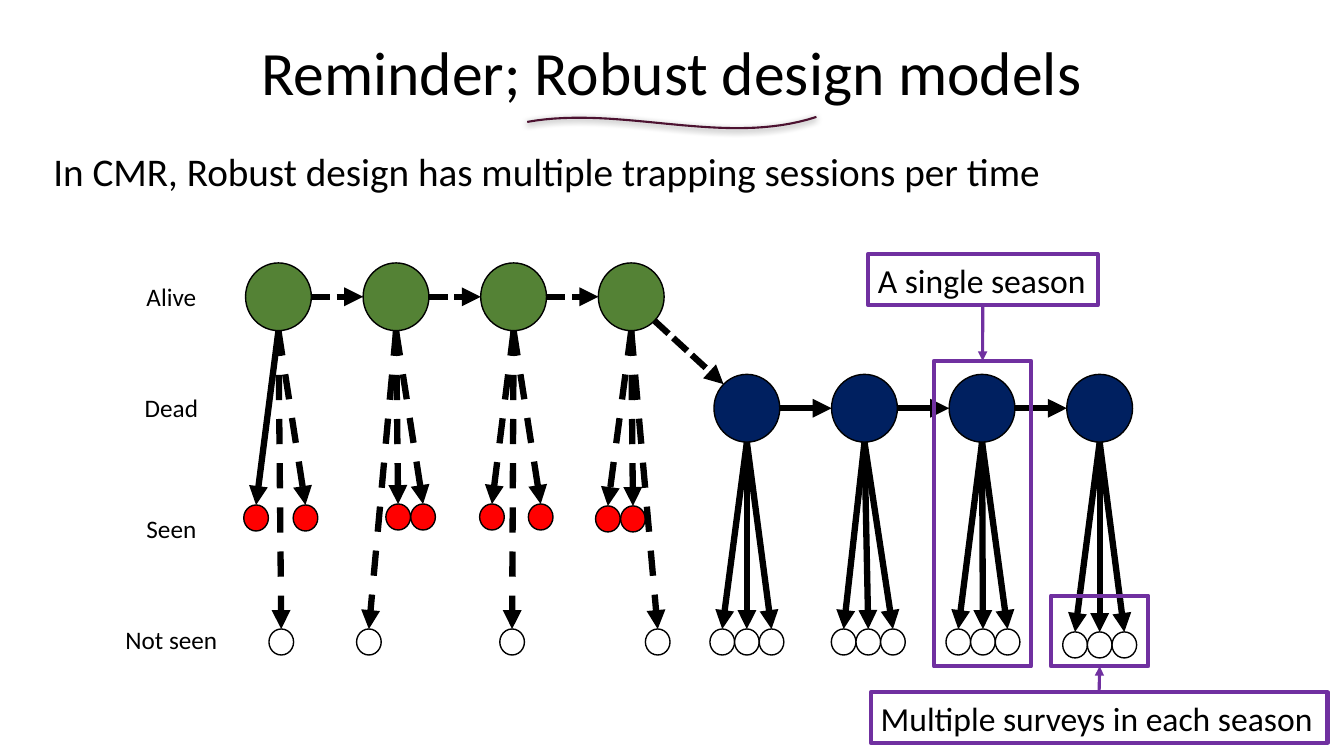
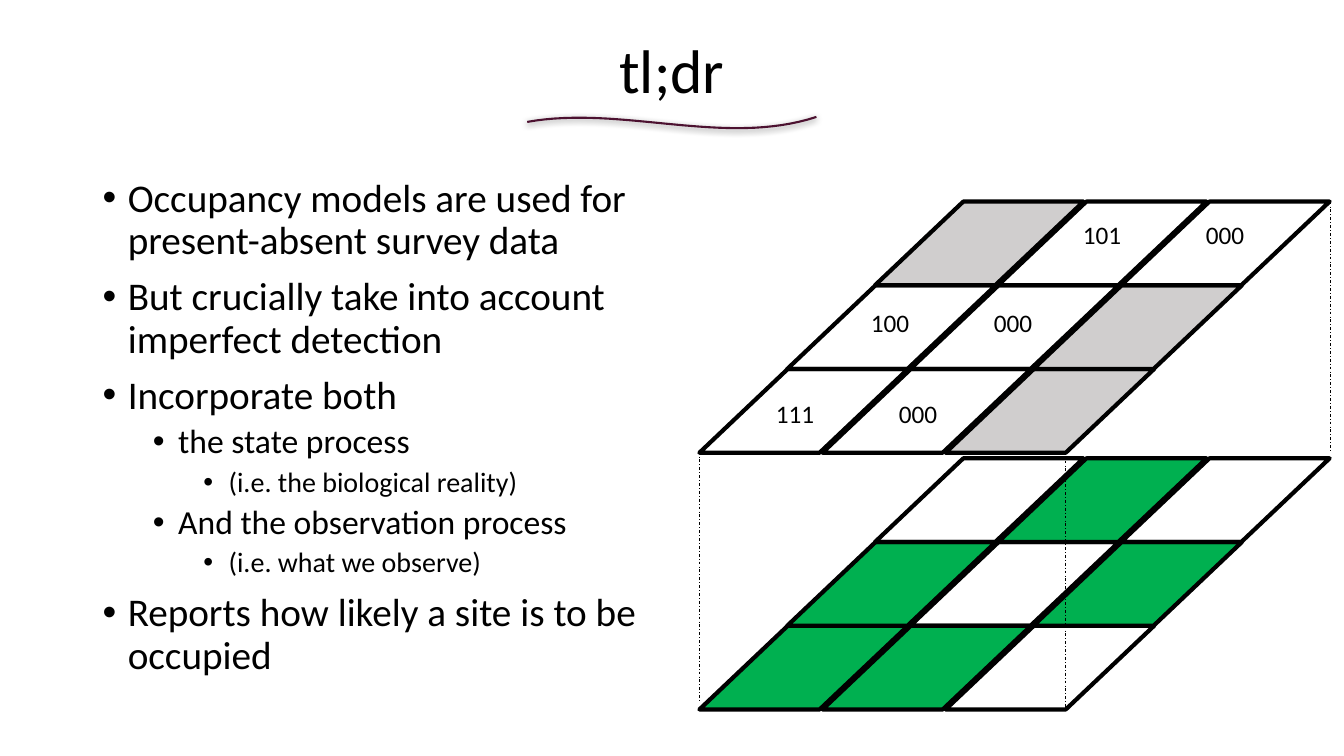
"""Builds two slides on robust design and occupancy models."""
from lxml import etree
from pptx import Presentation
from pptx.dml.color import RGBColor
from pptx.enum.dml import MSO_LINE
from pptx.enum.shapes import MSO_CONNECTOR, MSO_SHAPE
from pptx.enum.text import MSO_ANCHOR, PP_ALIGN
from pptx.oxml.ns import qn
from pptx.util import Pt

STRAIGHT = MSO_CONNECTOR.STRAIGHT
OVAL, RECTANGLE, SLANTED = MSO_SHAPE.OVAL, MSO_SHAPE.RECTANGLE, MSO_SHAPE.PARALLELOGRAM
DASH, SHORT_DASH, DASH_DOT = MSO_LINE.DASH, MSO_LINE.SQUARE_DOT, MSO_LINE.DASH_DOT
TOP, MIDDLE = MSO_ANCHOR.TOP, MSO_ANCHOR.MIDDLE
LEFT, CENTER = PP_ALIGN.LEFT, PP_ALIGN.CENTER

FONT = "Calibri"
BLACK, WHITE, RED, PURPLE = "000000", "FFFFFF", "FF0000", "7030A0"
OLIVE, NAVY, PLUM, GREEN, GREY = "548235", "002060", "4C1130", "00B050", "D0CECE"

SLIDE_WIDTH, SLIDE_HEIGHT = 960, 540
WAVE = [(376.6, 87.1), (444.2, 74.9), (517.7, 105.1), (583.2, 83.5)]
WAVE_STEPS = 32

ROBUST_TITLE = "Reminder; Robust design models"
ROBUST_INTRO = [("In CMR, Robust design has multiple trapping sessions per time", None)]
ROW_LABELS = [("Alive", 211.7), ("Dead", 290.9), ("Seen", 377.3), ("Not seen", 456.5)]
STATES = {
    "alive": {"first": 198.9, "middle": 212, "fill": OLIVE, "step_dash": SHORT_DASH},
    "dead": {"first": 533.5, "middle": 291.6, "fill": NAVY, "step_dash": None},
}
SEASON_STEP, STATE_WIDTH, STATE_HEIGHT = 84, 47, 48.4
SURVEY_WIDTH, SURVEY_HEIGHT = 17.6, 18.6
DIAGONAL = 0.71
SEEN, MISSED = RED, WHITE
SEASONS = [
    ("alive", [(-16, 360.7, SEEN, None), (2, 449.3, MISSED, DASH), (19.3, 360.7, SEEN, DASH)]),
    ("alive", [(-19.4, 449.3, MISSED, DASH), (1.5, 360, SEEN, DASH), (19.3, 360, SEEN, DASH)]),
    ("alive", [(-15.5, 360, SEEN, DASH), (-1.1, 449.3, MISSED, DASH), (19.3, 360, SEEN, DASH)]),
    ("alive", [(-16.7, 361.4, SEEN, DASH), (1.2, 361.4, SEEN, DASH), (18.9, 449.3, MISSED, DASH)]),
] + [
    ("dead", [(middle + side * SURVEY_WIDTH, top, MISSED, None) for side in (-1, 0, 1)])
    for middle, top in [(0, 449.3), (2.7, 449.3), (0.6, 449.3), (0, 451.4)]
]
CALLOUTS = [
    {"text": "A single season", "box": (619.9, 181.6, 164.2, 36.2),
     "frame": (667.2, 257.8, 69.4, 218.2), "sides": (2, 0)},
    {"text": "Multiple surveys in each season", "box": (622, 494.6, 326.2, 36),
     "frame": (750.8, 425.5, 69.4, 50.4), "sides": (0, 2)},
]

SUMMARY_TITLE = "tl;dr"
SUMMARY = [
    ("Occupancy models are used for present-absent survey data", 0),
    ("But crucially take into account imperfect detection", 0),
    ("Incorporate both", 0),
    ("the state process", 1),
    ("(i.e. the biological reality)", 2),
    ("And the observation process", 1),
    ("(i.e. what we observe)", 2),
    ("Reports how likely a site is to be occupied", 0),
]
LEVEL_SIZES, LEVEL_GAPS = (28, 24, 20), (10, 5, 5)

GRIDS = [
    (327.4, [
        [(None, ""), (GREEN, ""), (None, "")],
        [(GREEN, ""), (None, ""), (GREEN, "")],
        [(GREEN, ""), (GREEN, ""), (None, "")],
    ]),
    (144, [
        [(GREY, ""), (None, "101"), (None, "000")],
        [(None, "100"), (None, "000"), (GREY, "")],
        [(None, "111"), (None, "000"), (GREY, "")],
    ]),
]
GRID_LEFT, CELL_WIDTH, CELL_HEIGHT = 625, 149, 59.8
COLUMN_STEP, ROW_SHIFT, SLANT = 87.9, 62.7, 1.055
CODE_INSETS = [(53.5, 9.4), (52.6, 12.2), (47.5, 17.4)]
DROP_LINES = [(950.4, 144, 322.6), (761, 329, 508.3), (499.7, 322.6, 501.8)]


def color(value):
    """Turn a hex string into a colour."""
    return RGBColor.from_string(value)


def write(frame, text, size, align=LEFT):
    """Write one paragraph into a text frame."""
    paragraph = frame.paragraphs[0]
    paragraph.alignment = align
    add_run(paragraph, text, size)
    return paragraph


def add_run(paragraph, text, size):
    """Add one styled run."""
    run = paragraph.add_run()
    run.text = text
    run.font.name = FONT
    run.font.size = Pt(size)
    run.font.color.rgb = color(BLACK)


def add_frame(slide, left, top, width, height, wrap=True, anchor=TOP):
    """Add a text box and return its text frame."""
    box = slide.shapes.add_textbox(Pt(left), Pt(top), Pt(width), Pt(height))
    box.text_frame.word_wrap = wrap
    box.text_frame.vertical_anchor = anchor
    return box.text_frame


def add_body(slide, box, items):
    """Add body text, with bullets where a level is given."""
    frame = add_frame(slide, *box)
    for index, (text, level) in enumerate(items):
        paragraph = frame.add_paragraph() if index else frame.paragraphs[0]
        depth = level or 0
        if level is not None:
            properties = paragraph._p.get_or_add_pPr()
            properties.set("marL", str(Pt(18 + 36 * depth)))
            properties.set("indent", str(-Pt(18)))
            etree.SubElement(properties, qn("a:buFont")).set("typeface", "Arial")
            etree.SubElement(properties, qn("a:buChar")).set("char", "•")
            paragraph.level = depth
        paragraph.line_spacing = 0.9
        paragraph.space_before = Pt(LEVEL_GAPS[depth] if index else 0)
        add_run(paragraph, text, LEVEL_SIZES[depth])


def add_outline(slide, kind, box, fill, line, weight):
    """Add a preset shape, hollow when no fill is given."""
    shape = slide.shapes.add_shape(kind, *map(Pt, box))
    shape.shadow.inherit = False
    if fill:
        shape.fill.solid()
        shape.fill.fore_color.rgb = color(fill)
    else:
        shape.fill.background()
    shape.line.color.rgb = color(line)
    shape.line.width = Pt(weight)
    return shape


def add_line(slide, start, end, weight, line=BLACK, dash=None, arrow=True):
    """Add a straight line, with an arrowhead at its end if wanted."""
    connector = slide.shapes.add_connector(STRAIGHT, *map(Pt, (*start, *end)))
    connector.line.color.rgb = color(line)
    connector.line.width = Pt(weight)
    if dash:
        connector.line.dash_style = dash
    properties = connector.element.spPr
    if arrow:
        etree.SubElement(properties.find(qn("a:ln")), qn("a:tailEnd")).set("type", "triangle")
    etree.SubElement(properties, qn("a:effectLst"))
    return connector


def wave_point(position):
    """Return the point of the title wave at a position from 0 to 1."""
    rest = 1 - position
    weights = (rest ** 3, 3 * rest ** 2 * position, 3 * rest * position ** 2, position ** 3)
    return tuple(Pt(sum(w * point[axis] for w, point in zip(weights, WAVE))) for axis in (0, 1))


def add_wave(slide):
    """Draw the shadowed wave under the title."""
    points = [wave_point(step / WAVE_STEPS) for step in range(WAVE_STEPS + 1)]
    builder = slide.shapes.build_freeform(*points[0])
    builder.add_line_segments(points[1:], close=False)
    wave = builder.convert_to_shape()
    wave.fill.background()
    wave.line.color.rgb = color(PLUM)
    wave.line.width = Pt(1.5)
    wave.shadow.inherit = False
    shadow = etree.SubElement(wave.element.spPr.find(qn("a:effectLst")), qn("a:outerShdw"))
    for name, value in (("blurRad", Pt(4.5)), ("dist", Pt(1.5)), ("dir", 5400000)):
        shadow.set(name, str(value))
    tint = etree.SubElement(shadow, qn("a:srgbClr"))
    tint.set("val", BLACK)
    etree.SubElement(tint, qn("a:alpha")).set("val", "50000")


def start_slide(presentation, title, top):
    """Add a blank slide with the shared title and wave."""
    slide = presentation.slides.add_slide(presentation.slide_layouts[6])
    frame = add_frame(slide, 0, top, SLIDE_WIDTH, 104.4, anchor=MIDDLE)
    write(frame, title, 44, CENTER).line_spacing = 0.9
    add_wave(slide)
    return slide


def season_centers():
    """Return the state name and centre of each season."""
    counts = dict.fromkeys(STATES, 0)
    centers = []
    for name, _ in SEASONS:
        state = STATES[name]
        centers.append((name, state["first"] + counts[name] * SEASON_STEP, state["middle"]))
        counts[name] += 1
    return centers


def add_seasons(slide):
    """Draw the states, the steps between them and their surveys."""
    centers = season_centers()
    half_width, half_height = STATE_WIDTH / 2, STATE_HEIGHT / 2
    for name, x, y in centers:
        box = (x - half_width, y - half_height, STATE_WIDTH, STATE_HEIGHT)
        add_outline(slide, OVAL, box, STATES[name]["fill"], BLACK, 1)
    for (name, x, y), (_, next_x, next_y) in zip(centers, centers[1:]):
        level = y == next_y
        across = half_width * (1 if level else DIAGONAL)
        down = 0 if level else half_height * DIAGONAL
        add_line(slide, (x + across, y + down), (next_x - across, next_y - down), 4.5,
                 dash=STATES[name]["step_dash"])
    for (_, x, y), (_, surveys) in zip(centers, SEASONS):
        for offset, top, fill, _ in surveys:
            box = (x + offset - SURVEY_WIDTH / 2, top, SURVEY_WIDTH, SURVEY_HEIGHT)
            add_outline(slide, OVAL, box, fill, BLACK, 1)
        for offset, top, _, dash in surveys:
            add_line(slide, (x, y + half_height), (x + offset, top), 4.5, dash=dash)


def add_callout(slide, callout):
    """Frame a part of the diagram and join it to its label."""
    frame = add_outline(slide, RECTANGLE, callout["frame"], None, PURPLE, 3)
    label = add_outline(slide, RECTANGLE, callout["box"], None, PURPLE, 3)
    label.text_frame.word_wrap = False
    label.text_frame.vertical_anchor = MIDDLE
    write(label.text_frame, callout["text"], 24)
    connector = add_line(slide, (0, 0), (0, 0), 2.25, PURPLE)
    label_side, frame_side = callout["sides"]
    connector.begin_connect(label, label_side)
    connector.end_connect(frame, frame_side)


def add_grid(slide, top, rows):
    """Draw a slanted grid from its front row to its back row."""
    for row in reversed(range(len(rows))):
        for column, (fill, code) in enumerate(rows[row]):
            left = GRID_LEFT - row * ROW_SHIFT + column * COLUMN_STEP
            cell_top = top + row * CELL_HEIGHT
            box = (left, cell_top, CELL_WIDTH, CELL_HEIGHT)
            add_outline(slide, SLANTED, box, fill, BLACK, 3).adjustments[0] = SLANT
            if code:
                across, down = CODE_INSETS[row]
                frame = add_frame(slide, left + across, cell_top + down, 42.5, 28.8, False)
                write(frame, code, 18)


def build_robust_design(presentation):
    """Build the robust design slide."""
    slide = start_slide(presentation, ROBUST_TITLE, 1.4)
    add_body(slide, (31, 105.8, 822.2, 53.3), ROBUST_INTRO)
    for text, middle in ROW_LABELS:
        write(add_frame(slide, 77.4, middle - 14.4, 90, 28.8), text, 18, CENTER)
    add_seasons(slide)
    for callout in CALLOUTS:
        add_callout(slide, callout)


def build_summary(presentation):
    """Build the summary slide."""
    slide = start_slide(presentation, SUMMARY_TITLE, 0)
    add_body(slide, (66.2, 123.8, 426.2, 393.1), SUMMARY)
    for top, rows in GRIDS:
        add_grid(slide, top, rows)
    for x, top, bottom in DROP_LINES:
        add_line(slide, (x, top), (x, bottom), 0.5, dash=DASH_DOT, arrow=False)


def main():
    """Build and save the presentation."""
    presentation = Presentation()
    presentation.slide_width = Pt(SLIDE_WIDTH)
    presentation.slide_height = Pt(SLIDE_HEIGHT)
    build_robust_design(presentation)
    build_summary(presentation)
    presentation.save("out.pptx")


if __name__ == "__main__":
    main()
